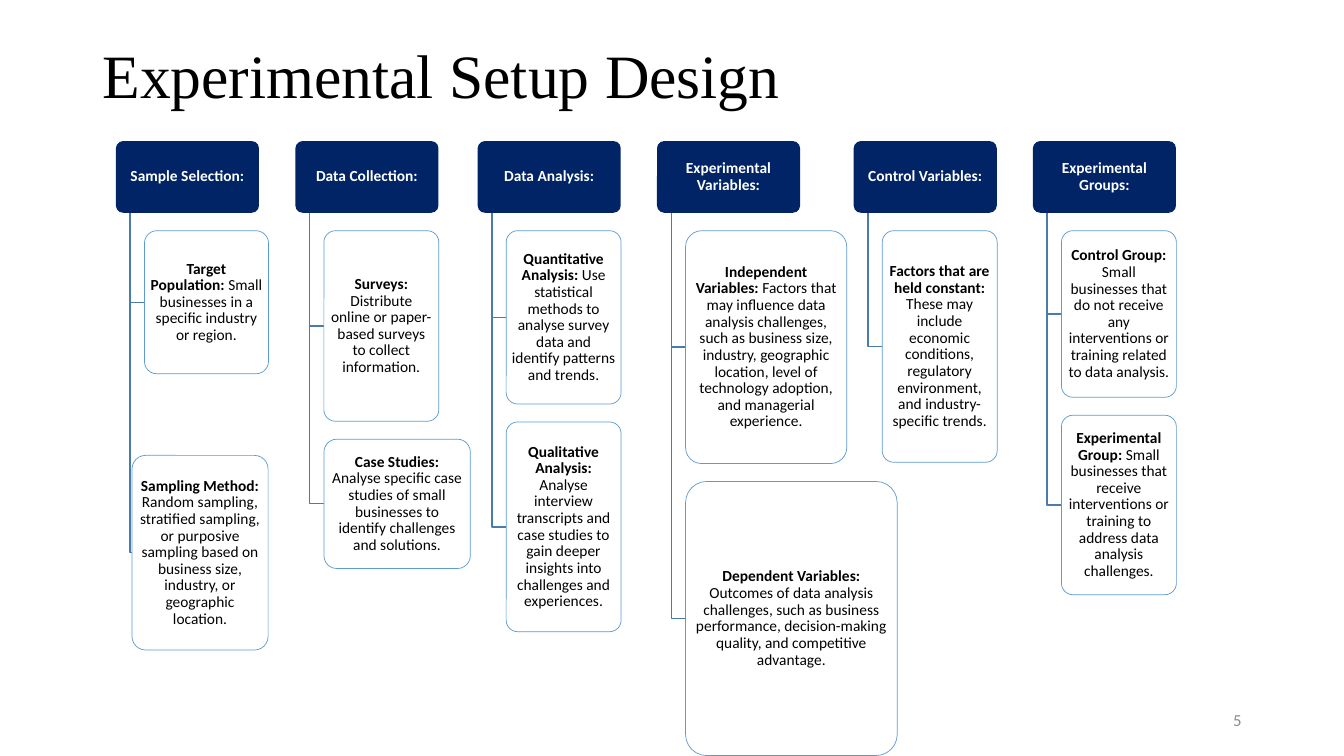
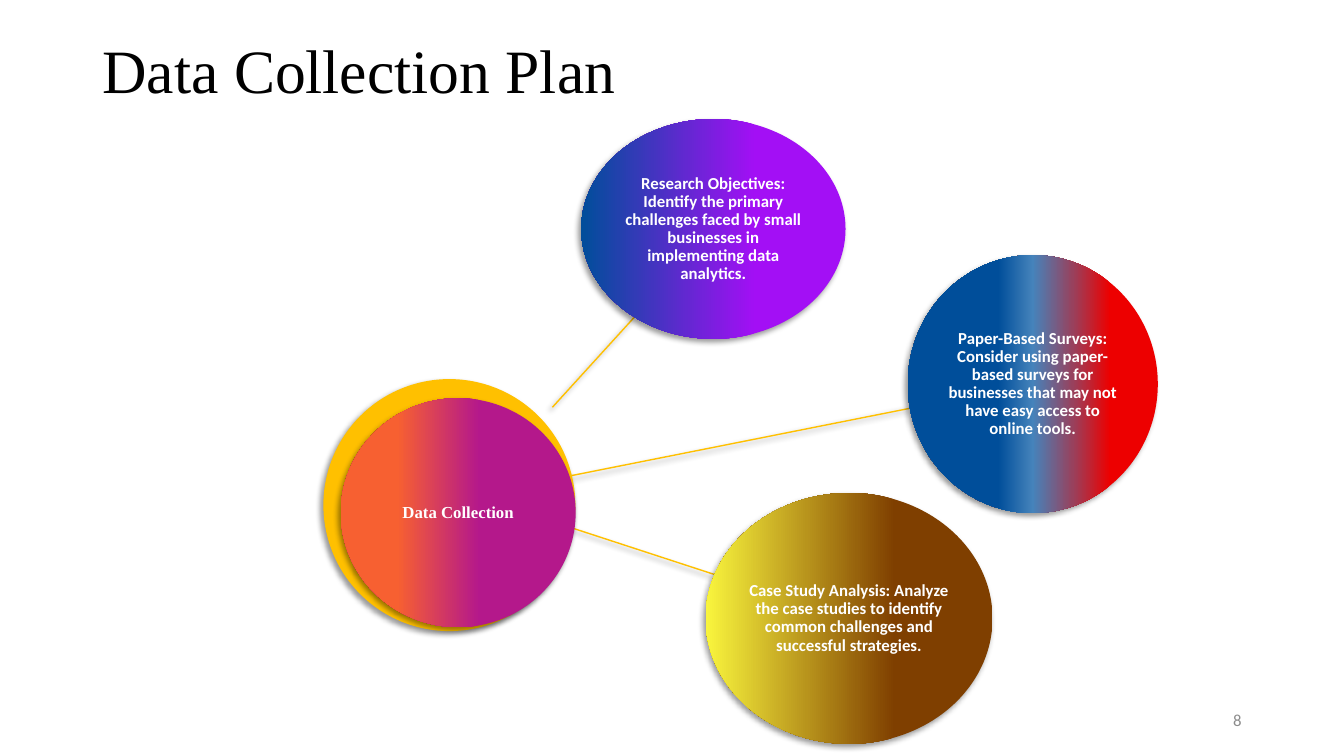
"""Build two research slides: an experimental setup chart and a data collection plan."""

from dataclasses import dataclass
from typing import NamedTuple

from lxml import etree
from pptx import Presentation
from pptx.dml.color import RGBColor
from pptx.enum.shapes import MSO_CONNECTOR, MSO_SHAPE
from pptx.enum.text import MSO_ANCHOR, PP_ALIGN
from pptx.oxml.ns import qn
from pptx.presentation import Presentation as Deck
from pptx.shapes.autoshape import Shape
from pptx.slide import Slide
from pptx.text.text import TextFrame
from pptx.util import Pt

ROUNDED = MSO_SHAPE.ROUNDED_RECTANGLE
OVAL = MSO_SHAPE.OVAL
STRAIGHT = MSO_CONNECTOR.STRAIGHT
MIDDLE = MSO_ANCHOR.MIDDLE
TOP = MSO_ANCHOR.TOP
LEFT = PP_ALIGN.LEFT
CENTER = PP_ALIGN.CENTER
RIGHT = PP_ALIGN.RIGHT

BLACK = RGBColor(0x00, 0x00, 0x00)
WHITE = RGBColor(0xFF, 0xFF, 0xFF)
GRAY = RGBColor(0x8C, 0x8C, 0x8C)
NAVY = RGBColor(0x00, 0x24, 0x65)
STEEL = RGBColor(0x49, 0x7C, 0xAB)
SKY = RGBColor(0x5B, 0x9B, 0xD5)
GOLD = RGBColor(0xFF, 0xC0, 0x00)
VIOLET = RGBColor(0xA3, 0x0F, 0xF5)
BLUE = RGBColor(0x00, 0x4E, 0x9A)
RED = RGBColor(0xED, 0x00, 0x00)
MAUVE = RGBColor(0x98, 0x41, 0x5D)
LIGHT_BLUE = RGBColor(0x45, 0x83, 0xBB)
BROWN = RGBColor(0x7F, 0x3F, 0x00)
YELLOW = RGBColor(0xF9, 0xF5, 0x3D)
MAGENTA = RGBColor(0xB4, 0x18, 0x8B)
ORANGE = RGBColor(0xF7, 0x60, 0x31)

SERIF = "Times New Roman"
SANS = "Calibri"

HEADER_TOP = 100.8
HEADER_WIDTH = 102.2
HEADER_HEIGHT = 51.2
STEM_OFFSET = 10.2
CARD_OFFSET = 20.4
CARD_GAP = 12.8
CARD_WIDTH = 82.1


class Box(NamedTuple):
    """A rectangle in points."""

    left: float
    top: float
    width: float
    height: float


class Stop(NamedTuple):
    """A gradient stop, its position in percent."""

    position: int
    color: RGBColor


@dataclass(frozen=True)
class Card:
    """A detail card that hangs below a column header."""

    label: str
    body: str
    height: float
    width: float = CARD_WIDTH
    offset: float = CARD_OFFSET
    gap: float = CARD_GAP


@dataclass(frozen=True)
class Column:
    """A header with its cards."""

    left: float
    header: str
    cards: tuple[Card, ...]


@dataclass(frozen=True)
class Bubble:
    """A gradient oval with centred text."""

    box: Box
    text: str
    stops: tuple[Stop, ...]
    font: str = SANS


COLUMNS = (
    Column(82.8, "Sample Selection:", (
        Card("Target Population:", " Small businesses in a specific industry or region.", 102.2, 88.6),
        Card("Sampling Method:", " Random sampling, stratified sampling, or purposive sampling based on "
             "business size, industry, or geographic location.", 139, 97.2, 11.5, 58.3),
    )),
    Column(211, "Data Collection:", (
        Card("Surveys:", " Distribute online or paper-based surveys to collect information.", 136.1),
        Card("Case Studies:", " Analyse specific case studies of small businesses to identify "
             "challenges and solutions.", 92.4, 104.6),
    )),
    Column(341.2, "Data Analysis:", (
        Card("Quantitative Analysis:", " Use statistical methods to analyse survey data and identify "
             "patterns and trends.", 123.8),
        Card("Qualitative Analysis:", " Analyse interview transcripts and case studies to gain deeper "
             "insights into challenges and experiences.", 149.8),
    )),
    Column(469.3, "Experimental Variables:", (
        Card("Independent Variables:", " Factors that may influence data analysis challenges, such as "
             "business size, industry, geographic location, level of technology adoption, and "
             "managerial experience.", 166.3, 115.2),
        Card("Dependent Variables:", " Outcomes of data analysis challenges, such as business "
             "performance, decision-making quality, and competitive advantage.", 195.8, 151.2),
    )),
    Column(609.8, "Control Variables:", (
        Card("Factors that are held constant:", " These may include economic conditions, regulatory "
             "environment, and industry-specific trends.", 165.4),
    )),
    Column(737.8, "Experimental Groups:", (
        Card("Control Group:", " Small businesses that do not receive any interventions or training "
             "related to data analysis.", 119),
        Card("Experimental Group:", " Small businesses that receive interventions or training to "
             "address data analysis challenges.", 128.2),
    )),
)

RING = Box(231, 270.8, 180, 180)
SPOKES = (
    (400.3, 374.4, 510.5, 410.4),
    (400.3, 341.3, 650.2, 291.6),
    (394.6, 290.9, 452.9, 226.8),
)
BUBBLES = (
    Bubble(Box(415.2, 85, 188.8, 157),
           "Research Objectives: Identify the primary challenges faced by small businesses in "
           "implementing data analytics.",
           (Stop(34, VIOLET), Stop(100, BLUE))),
    Bubble(Box(648.4, 182.2, 178.6, 184.3),
           "Paper-Based Surveys: Consider using paper-based surveys for businesses that may not "
           "have easy access to online tools.",
           (Stop(19, RED), Stop(34, MAUVE), Stop(50, LIGHT_BLUE), Stop(64, BLUE))),
    Bubble(Box(504, 352.1, 205, 179.3),
           "Case Study Analysis: Analyze the case studies to identify common challenges and "
           "successful strategies.",
           (Stop(34, BROWN), Stop(100, YELLOW))),
    Bubble(Box(243.4, 284.4, 167.8, 163.6), "Data Collection",
           (Stop(41, MAGENTA), Stop(76, ORANGE)), SERIF),
)


def write_text(frame: TextFrame, runs: tuple[str, ...], font: str, size: float, color: RGBColor,
               alignment: PP_ALIGN, anchor: MSO_ANCHOR = MIDDLE, bold: bool = False) -> None:
    """Fill a frame with one paragraph; of two runs the first is bold."""
    frame.word_wrap = True
    frame.vertical_anchor = anchor
    paragraph = frame.paragraphs[0]
    paragraph.alignment = alignment
    paragraph.line_spacing = 0.9
    paragraph.font.name = font
    paragraph.font.size = Pt(size)
    paragraph.font.color.rgb = color
    paragraph.font.bold = bold
    for text in runs:
        paragraph.add_run().text = text
    if len(runs) > 1:
        paragraph.runs[0].font.bold = True


def set_insets(frame: TextFrame, inset: float) -> None:
    """Give a frame the same inset on all four sides."""
    frame.margin_left = frame.margin_right = Pt(inset)
    frame.margin_top = frame.margin_bottom = Pt(inset)


def add_figure(slide: Slide, kind: MSO_SHAPE, box: Box, color: RGBColor) -> Shape:
    """Add a flat preset shape without outline."""
    shape = slide.shapes.add_shape(kind, *map(Pt, box))
    shape.shadow.inherit = False
    shape.fill.solid()
    shape.fill.fore_color.rgb = color
    shape.line.fill.background()
    return shape


def add_panel(slide: Slide, box: Box, color: RGBColor) -> Shape:
    """Add a rounded panel with narrow insets."""
    shape = add_figure(slide, ROUNDED, box, color)
    shape.adjustments[0] = 0.1
    set_insets(shape.text_frame, 1.65)
    return shape


def add_color(parent: etree._Element, color: RGBColor) -> etree._Element:
    """Append an RGB colour element."""
    return etree.SubElement(parent, qn("a:srgbClr"), val=str(color))


def set_gradient(shape: Shape, stops: tuple[Stop, ...]) -> None:
    """Fill a shape with a gradient that runs from right to left."""
    shape.fill.gradient()
    shape.fill.gradient_angle = 180
    stop_list = shape.element.spPr.find(f".//{qn('a:gsLst')}")
    for element in list(stop_list):
        stop_list.remove(element)
    for stop in stops:
        add_color(etree.SubElement(stop_list, qn("a:gs"), pos=str(stop.position * 1000)), stop.color)


def cast_shadow(properties: etree._Element) -> None:
    """Put a soft shadow at the lower left."""
    effects = properties.find(qn("a:effectLst"))
    if effects is None:
        effects = etree.SubElement(properties, qn("a:effectLst"))
    shadow = etree.SubElement(effects, qn("a:outerShdw"), blurRad=str(Pt(4)), dist=str(Pt(3)),
                              dir="8100000", rotWithShape="0")
    etree.SubElement(add_color(shadow, BLACK), qn("a:alpha"), val="40000")


def add_titled_slide(presentation: Deck, title: str, top: float, anchor: MSO_ANCHOR) -> Slide:
    """Add a slide with its formatted title."""
    slide = presentation.slides.add_slide(presentation.slide_layouts[5])
    shape = slide.shapes.title
    shape.left, shape.top, shape.width, shape.height = map(Pt, (66, top, 828, 104.4))
    write_text(shape.text_frame, (title,), SERIF, 44, BLACK, LEFT, anchor)
    return slide


def add_page_number(slide: Slide, number: int) -> None:
    """Write the page number at the lower right."""
    shape = slide.shapes.add_textbox(Pt(678), Pt(500.5), Pt(216), Pt(28.8))
    write_text(shape.text_frame, (str(number),), SANS, 12, GRAY, RIGHT)


def add_elbow(slide: Slide, left: float, top: float, right: float, bottom: float) -> None:
    """Draw a line down from a header and across to a card."""
    builder = slide.shapes.build_freeform(Pt(left), Pt(top))
    builder.add_line_segments([(Pt(left), Pt(bottom)), (Pt(right), Pt(bottom))], close=False)
    shape = builder.convert_to_shape()
    shape.shadow.inherit = False
    shape.fill.background()
    shape.line.color.rgb = STEEL
    shape.line.width = Pt(1)


def add_column(slide: Slide, column: Column) -> None:
    """Draw a header and stack its cards below it."""
    header = add_panel(slide, Box(column.left, HEADER_TOP, HEADER_WIDTH, HEADER_HEIGHT), NAVY)
    write_text(header.text_frame, (column.header,), SANS, 11, WHITE, CENTER, bold=True)
    header_bottom = bottom = HEADER_TOP + HEADER_HEIGHT
    for card in column.cards:
        box = Box(column.left + card.offset, bottom + card.gap, card.width, card.height)
        add_elbow(slide, column.left + STEM_OFFSET, header_bottom, box.left, box.top + box.height / 2)
        panel = add_panel(slide, box, WHITE)
        color = panel.element.spPr.find(f"{qn('a:solidFill')}/{qn('a:srgbClr')}")
        etree.SubElement(color, qn("a:alpha"), val="90000")
        panel.line.color.rgb = SKY
        panel.line.width = Pt(0.5)
        write_text(panel.text_frame, (card.label, card.body), SANS, 11, BLACK, CENTER)
        bottom = box.top + box.height


def add_spoke(slide: Slide, ends: tuple[float, ...]) -> None:
    """Draw a shadowed line from the hub to a bubble."""
    connector = slide.shapes.add_connector(STRAIGHT, *map(Pt, ends))
    connector.line.color.rgb = GOLD
    connector.line.width = Pt(1)
    cast_shadow(connector.element.spPr)


def add_bubble(slide: Slide, bubble: Bubble) -> None:
    """Draw a shadowed gradient oval with its text."""
    shape = add_figure(slide, OVAL, bubble.box, WHITE)
    set_gradient(shape, bubble.stops)
    cast_shadow(shape.element.spPr)
    set_insets(shape.text_frame, 0.6)
    write_text(shape.text_frame, (bubble.text,), bubble.font, 12, WHITE, CENTER, bold=True)


def main() -> None:
    """Build and save the presentation."""
    presentation = Presentation()
    presentation.slide_width, presentation.slide_height = Pt(960), Pt(540)
    setup = add_titled_slide(presentation, "Experimental Setup Design", 28.8, TOP)
    for column in COLUMNS:
        add_column(setup, column)
    add_page_number(setup, 5)
    plan = add_titled_slide(presentation, "Data Collection Plan", 0, MIDDLE)
    for ends in SPOKES:
        add_spoke(plan, ends)
    cast_shadow(add_figure(plan, OVAL, RING, GOLD).element.spPr)
    for bubble in BUBBLES:
        add_bubble(plan, bubble)
    add_page_number(plan, 8)
    presentation.save("out.pptx")


if __name__ == "__main__":
    main()
